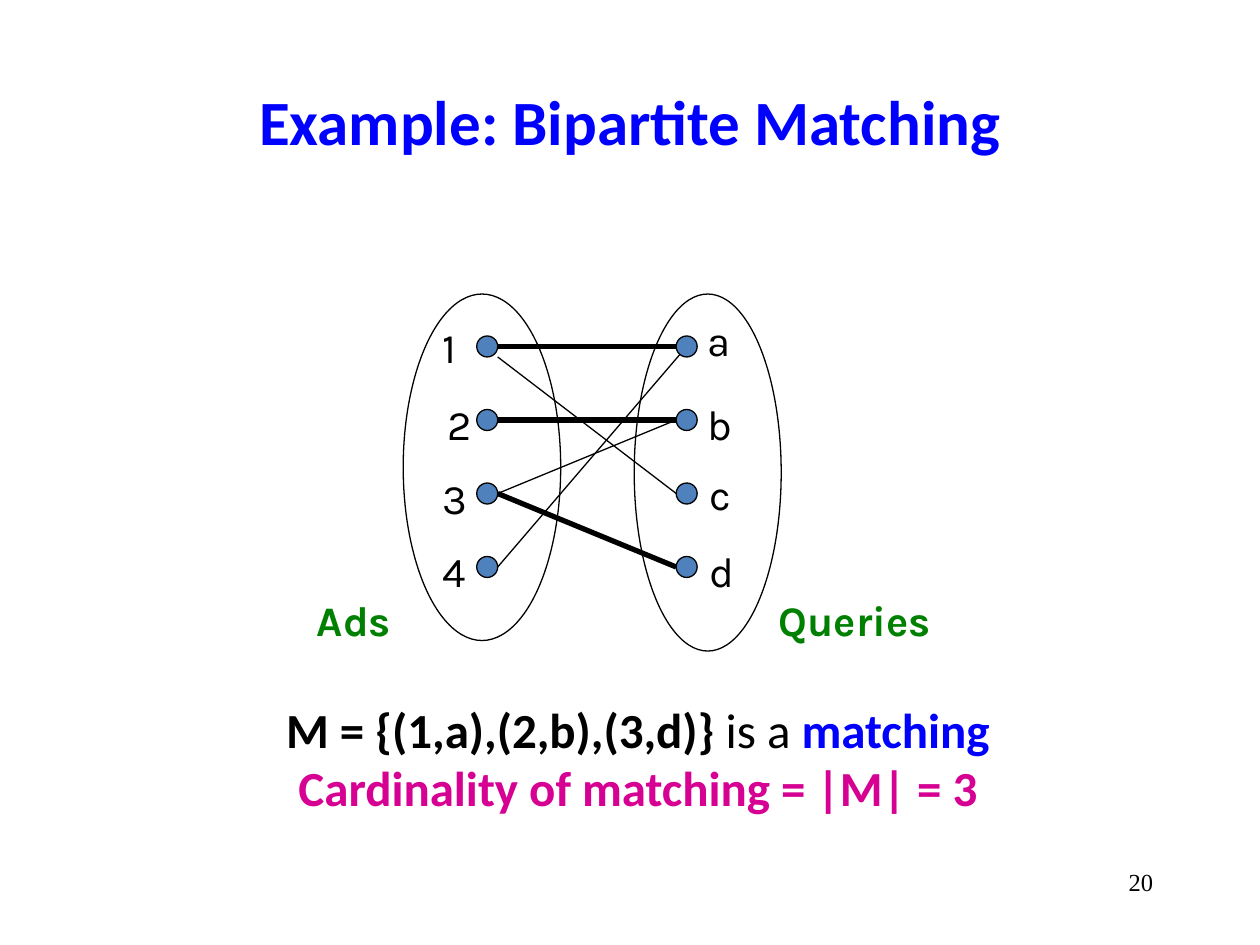
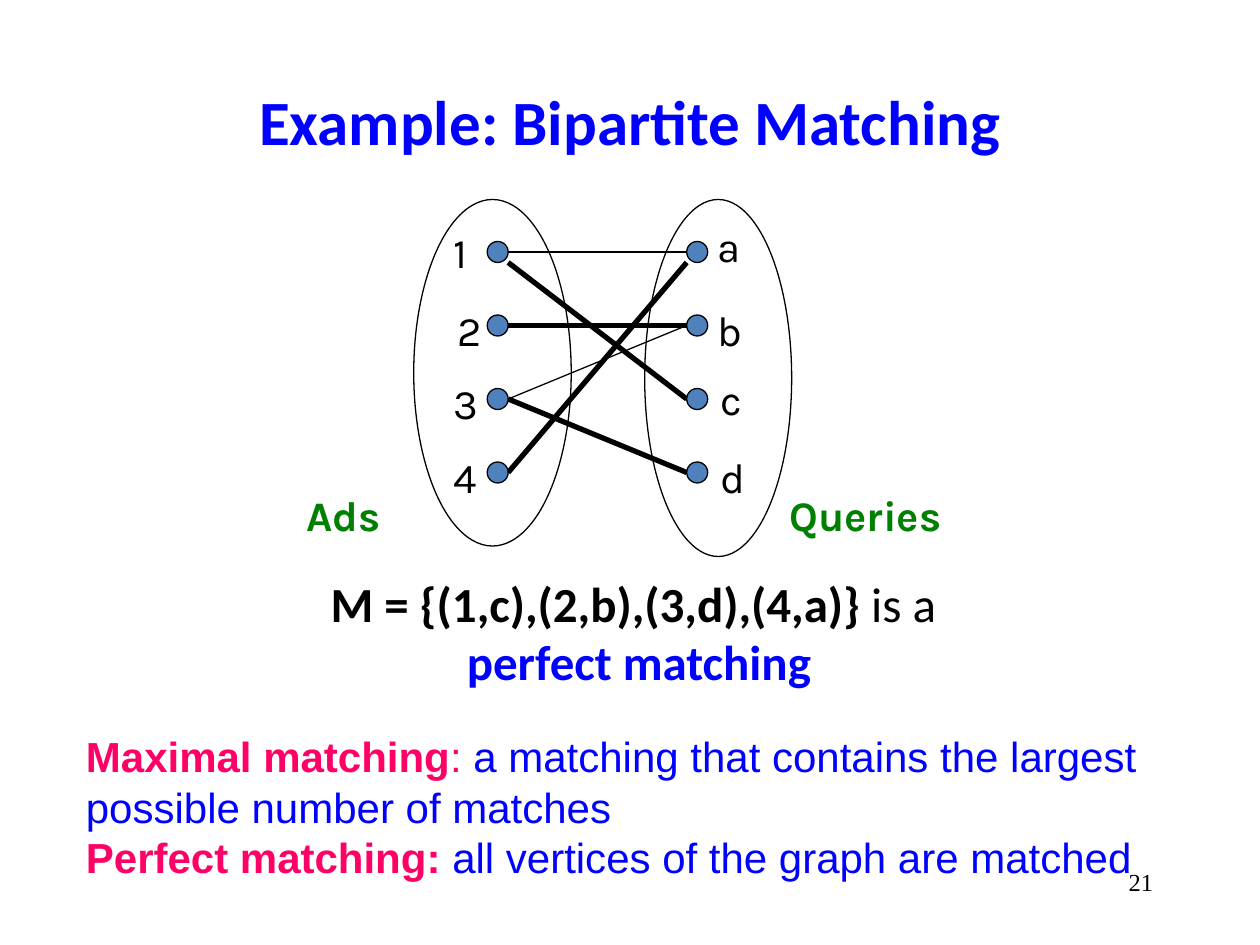
from pptx import Presentation
from pptx.dml.color import RGBColor
from pptx.enum.shapes import MSO_CONNECTOR as Connector, MSO_SHAPE as Preset
from pptx.enum.text import MSO_ANCHOR as Anchor, MSO_AUTO_SIZE as AutoSize, PP_ALIGN as Align
from pptx.oxml.xmlchemy import OxmlElement
from pptx.util import Emu, Pt

EMU_PER_PX = 7620
BLACK, BLUE, GREEN = "000000", "0000FF", "008000"
MAGENTA, PINK, DOT_BLUE = "D60093", "FF0066", "4F81BD"
THIN, THICK = 0.75, 3
DOT_SIZE, FIRST_DOT_TOP, ROW_STEP = 20, 40, 70
LEFT_DOTS, RIGHT_DOTS = 70, 260
LABELS = {
    "1": (26, 20), "2": (30, 94), "3": (26, 164), "4": (26, 234),
    "a": (278, 14), "b": (278, 94), "c": (280, 160), "d": (280, 234),
}


def px(length):
    return Emu(length * EMU_PER_PX)


def color(hex_string):
    return RGBColor.from_string(hex_string)


class Deck:
    def __init__(self):
        self.presentation = Presentation()
        self.presentation.slide_width = px(1200)
        self.presentation.slide_height = px(900)
        self.slide = None
        self.canvas = None

    def new_slide(self, title, number):
        layout = self.presentation.slide_layouts[5]
        self.slide = self.presentation.slides.add_slide(layout)
        self.canvas = self.slide.shapes
        shape = self.slide.shapes.title
        shape.left, shape.top, shape.width, shape.height = map(px, (90, 40, 1020, 150))
        shape.text_frame.vertical_anchor = Anchor.MIDDLE
        self.fill_text(shape.text_frame, [[(title, BLUE, True)]], 36, "Calibri", Align.CENTER)
        self.text(860, 820, 250, 60, [[(number, BLACK, False)]], 14, "Times New Roman", Align.RIGHT)

    def fill_text(self, frame, paragraphs, size, font, align):
        for index, pieces in enumerate(paragraphs):
            paragraph = frame.add_paragraph() if index else frame.paragraphs[0]
            paragraph.alignment = align
            for words, hex_string, bold in pieces:
                if words == "\n":
                    paragraph.add_line_break()
                    continue
                run = paragraph.add_run()
                run.text = words
                run.font.name = font
                run.font.size = Pt(size)
                run.font.bold = bold
                run.font.color.rgb = color(hex_string)

    def text(self, left, top, width, height, paragraphs, size, font, align=Align.LEFT):
        shape = self.canvas.add_textbox(px(left), px(top), px(width), px(height))
        shape.text_frame.word_wrap = True
        shape.text_frame.auto_size = AutoSize.SHAPE_TO_FIT_TEXT
        self.fill_text(shape.text_frame, paragraphs, size, font, align)

    def ellipse(self, left, top, width, height, fill=None):
        shape = self.canvas.add_shape(Preset.OVAL, px(left), px(top), px(width), px(height))
        shape.shadow.inherit = False
        if fill:
            shape.fill.solid()
            shape.fill.fore_color.rgb = color(fill)
        else:
            shape.fill.background()
        shape.line.color.rgb = color(BLACK)
        shape.line.width = Pt(THIN)

    def line(self, start, end, weight):
        connector = self.canvas.add_connector(Connector.STRAIGHT, *map(px, start + end))
        connector.line.color.rgb = color(BLACK)
        connector.line.width = Pt(weight)
        connector._element.spPr.append(OxmlElement("a:effectLst"))

    def bipartite_graph(self, left, top, edges):
        self.canvas = self.slide.shapes.add_group_shape().shapes
        for start, end, weight in edges:
            self.line((left + start[0], top + start[1]), (left + end[0], top + end[1]), weight)
        for row in range(4):
            for column in (LEFT_DOTS, RIGHT_DOTS):
                dot_top = top + FIRST_DOT_TOP + row * ROW_STEP
                self.ellipse(left + column, dot_top, DOT_SIZE, DOT_SIZE, DOT_BLUE)
        for label, (x, y) in LABELS.items():
            self.text(left + x, top + y, 43, 48, [[(label, BLACK, False)]], 24, "Karla")
        self.ellipse(left, top, 150, 330)
        self.ellipse(left + 220, top, 140, 340)
        self.canvas = self.slide.shapes

    def side_names(self, ads_left, queries_left, top):
        for name, left, width in (("Ads", ads_left, 98), ("Queries", queries_left, 180)):
            self.text(left, top, width, 60, [[(name, GREEN, True)]], 24, "Karla")


def graph_edges(matching, end_of_4a):
    routes = {
        "1a": ((90, 50), (260, 50)),
        "1c": ((90, 60), (260, 190)),
        "2b": ((90, 120), (260, 120)),
        "3b": ((90, 190), (260, 120)),
        "3d": ((90, 190), (260, 260)),
        "4a": ((90, 260), end_of_4a),
    }
    return [(*route, THICK if pair in matching else THIN) for pair, route in routes.items()]


def main():
    deck = Deck()
    title = "Example: Bipartite Matching"

    deck.new_slide(title, "20")
    deck.text(250, 660, 715, 125, [
        [("M = {(1,a),(2,b),(3,d)}", BLACK, True), (" is a ", BLACK, False), ("matching", BLUE, True)],
        [("Cardinality of matching = |M| = 3", MAGENTA, True)],
    ], 28, "Calibri", Align.CENTER)
    deck.bipartite_graph(384, 280, graph_edges({"1a", "2b", "3d"}, (270, 50)))
    deck.side_names(290, 730, 560)

    deck.new_slide(title, "21")
    deck.bipartite_graph(394, 190, graph_edges({"1c", "2b", "3d", "4a"}, (260, 60)))
    deck.text(299, 540, 619, 125, [
        [("M = {(1,c),(2,b),(3,d),(4,a)}", BLACK, True), (" is a ", BLACK, False),
         ("\n", BLACK, False), ("perfect matching", BLUE, True)],
    ], 28, "Calibri", Align.CENTER)
    deck.text(70, 690, 1040, 157, [
        [("Maximal matching", PINK, True), (": ", PINK, False),
         ("a matching that contains the largest possible number of matches", BLUE, False)],
        [("Perfect matching: ", PINK, True), ("all vertices of the graph are matched", BLUE, False)],
    ], 24, "Arial")
    deck.side_names(280, 740, 460)

    deck.presentation.save("out.pptx")


if __name__ == "__main__":
    main()
